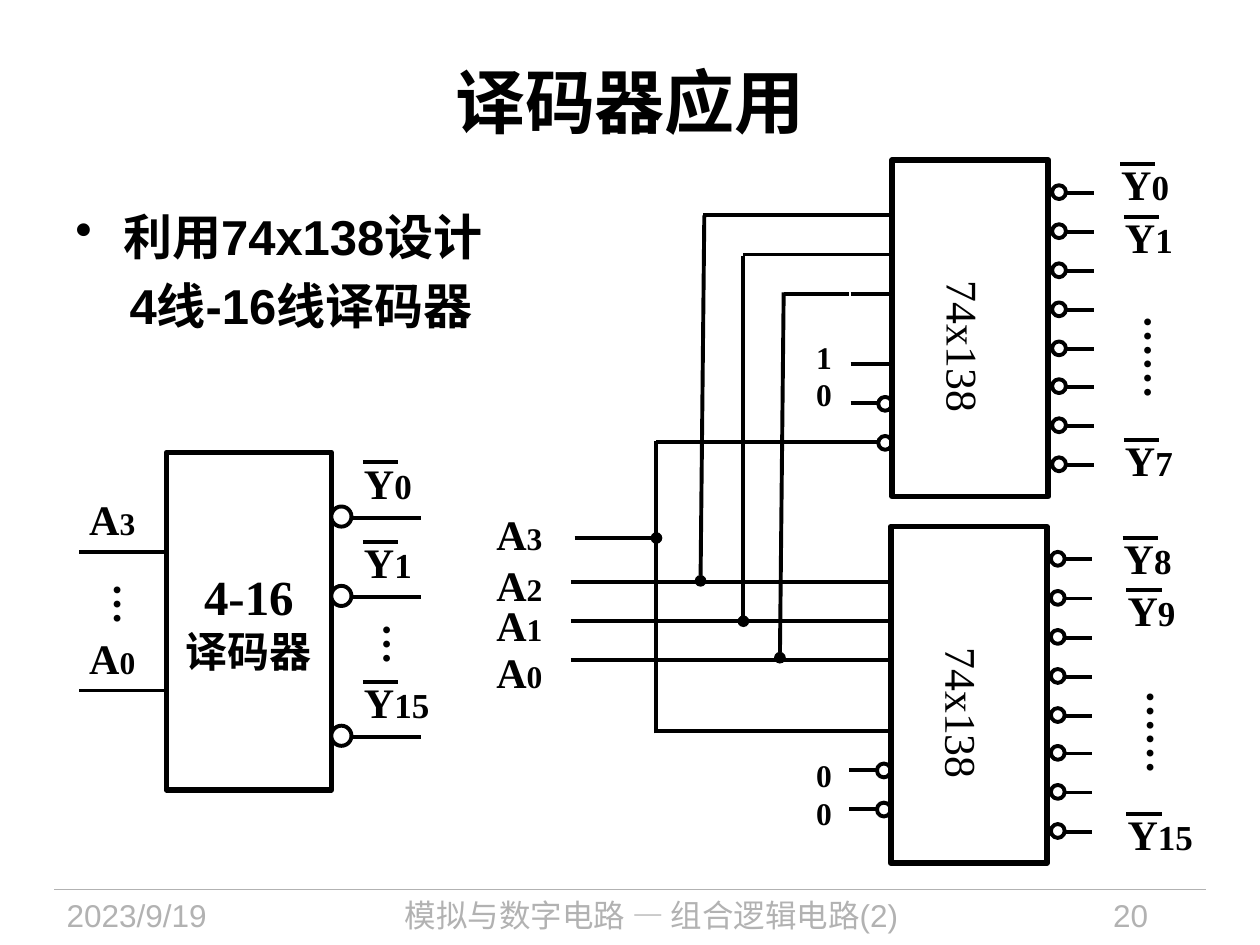
from typing import NamedTuple

from lxml import etree
from pptx import Presentation
from pptx.dml.color import RGBColor
from pptx.enum.shapes import MSO_CONNECTOR, MSO_SHAPE
from pptx.enum.text import MSO_ANCHOR, MSO_AUTO_SIZE, PP_ALIGN
from pptx.oxml.ns import qn
from pptx.util import Emu, Pt

PX = 9144  # EMU per px, 100 px to the inch
LEFT, CENTER, RIGHT = PP_ALIGN.LEFT, PP_ALIGN.CENTER, PP_ALIGN.RIGHT
RECTANGLE, OVAL = MSO_SHAPE.RECTANGLE, MSO_SHAPE.OVAL
STRAIGHT = MSO_CONNECTOR.STRAIGHT
MIDDLE, TOP = MSO_ANCHOR.MIDDLE, MSO_ANCHOR.TOP
FIT_SHAPE = MSO_AUTO_SIZE.SHAPE_TO_FIT_TEXT


class Theme:
    ink = RGBColor(0, 0, 0)
    paper = RGBColor(255, 255, 255)
    footer = RGBColor(0xB2, 0xB2, 0xB2)
    sans, serif = "Arial", "Times New Roman"
    title_size, body_size, block_size, chip_size = 40, 28, 24, 25
    letter_size, output_index, input_index, small_size = 24, 20, 18, 18
    wire, block_line, chip_line, rule = 2.25, 3, 3.25, 0.75


class Box(NamedTuple):
    left: int
    top: int
    width: int
    height: int


class Style(NamedTuple):
    font: str
    size: int
    bold: bool = True
    color: RGBColor = Theme.ink


class Label(NamedTuple):
    letter: str
    index: str
    left: int
    top: int


class Wire(NamedTuple):
    x1: int
    y1: int
    x2: int
    y2: int
    start_dot: bool = False
    end_dot: bool = False


LETTER = Style(Theme.serif, Theme.letter_size)
LEVEL = Style(Theme.serif, Theme.small_size)
FOOTER = Style(Theme.sans, Theme.small_size, False, Theme.footer)
CHIP_NAME = Style(Theme.serif, Theme.chip_size, False)


def emu(*lengths: int) -> list[Emu]:
    return [Emu(length * PX) for length in lengths]


def style_paragraph(paragraph, style: Style, align=LEFT) -> None:
    paragraph.alignment = align
    font = paragraph.font
    font.name, font.size, font.bold = style.font, Pt(style.size), style.bold
    font.color.rgb = style.color


def add_text(slide, box: Box, lines: list[str], style: Style, align=LEFT,
             wrap: bool = False, anchor=TOP, vertical: bool = False):
    frame = slide.shapes.add_textbox(*emu(*box)).text_frame
    frame.word_wrap = wrap
    frame.vertical_anchor = anchor
    if not wrap:
        frame.auto_size = FIT_SHAPE
    if vertical:
        frame._txBody.bodyPr.set("vert", "eaVert")
    frame.text = "\n".join(lines)
    for paragraph in frame.paragraphs:
        style_paragraph(paragraph, style, align)
    return frame


def add_wire(slide, wire: Wire, color=Theme.ink, width: float = Theme.wire) -> None:
    ends = emu(wire.x1, wire.y1, wire.x2, wire.y2)
    connector = slide.shapes.add_connector(STRAIGHT, *ends)
    connector.line.color.rgb = color
    connector.line.width = Pt(width)
    outline = connector.line._get_or_add_ln()
    for tag, dotted in (("a:headEnd", wire.start_dot), ("a:tailEnd", wire.end_dot)):
        if dotted:
            etree.SubElement(outline, qn(tag), type="oval")
    etree.SubElement(connector._element.spPr, qn("a:effectLst"))


def add_outline(slide, kind, box: Box, width: float, fill=None):
    shape = slide.shapes.add_shape(kind, *emu(*box))
    shape.shadow.inherit = False
    if fill is None:
        shape.fill.background()
    else:
        shape.fill.solid()
        shape.fill.fore_color.rgb = fill
    shape.line.color.rgb = Theme.ink
    shape.line.width = Pt(width)
    return shape


def add_label(slide, label: Label) -> None:
    """Letter with a smaller index; the active-low Y outputs carry a bar."""
    output = label.letter == "Y"
    width = 44 + 14 * len(label.index)
    box = Box(label.left, label.top, width, 50)
    paragraph = add_text(slide, box, [label.letter], LETTER).paragraphs[0]
    index = paragraph.add_run()
    index.text = label.index
    index.font.size = Pt(Theme.output_index if output else Theme.input_index)
    if output:
        bar_left, bar_top = label.left + 9, label.top + 9
        add_wire(slide, Wire(bar_left, bar_top, bar_left + 28, bar_top))


def add_chip(slide, left: int, top: int) -> None:
    add_outline(slide, RECTANGLE, Box(left, top, 124, 267), Theme.chip_line, Theme.paper)
    name = add_text(slide, Box(left + 48, top + 96, 30, 74), ["74x138"],
                    CHIP_NAME, vertical=True)
    name.margin_left = name.margin_top = name.margin_right = name.margin_bottom = 0
    # Eight inverted outputs
    for number in range(8):
        y = top + 20 + round(30.9 * number)
        add_outline(slide, OVAL, Box(left + 127, y, 11, 11), Theme.wire)
        add_wire(slide, Wire(left + 138, y + 6, left + 160, y + 6))
    # Three address inputs and one active-high enable
    for offset in (44, 75, 106, 162):
        add_wire(slide, Wire(left - 33, top + offset, left + 1, top + offset))
    # Two active-low enables
    for offset in (188, 219):
        y = top + offset
        add_outline(slide, OVAL, Box(left - 11, y, 11, 11), Theme.wire)
        add_wire(slide, Wire(left - 33, y + 5, left - 11, y + 5))


def add_heading_and_footer(slide) -> None:
    add_wire(slide, Wire(43, 706, 957, 706), Theme.footer, Theme.rule)
    for box, text, align in (
        (Box(43, 706, 188, 44), "2023/9/19", LEFT),
        (Box(249, 706, 536, 44), "模拟与数字电路 — 组合逻辑电路(2)", CENTER),
        (Box(788, 706, 133, 44), "20", RIGHT),
    ):
        add_text(slide, box, [text], FOOTER, align, wrap=True)
    add_text(slide, Box(50, 17, 900, 125), ["译码器应用"],
             Style(Theme.sans, Theme.title_size), CENTER, wrap=True, anchor=MIDDLE)
    body = add_text(slide, Box(50, 159, 900, 71), ["利用74x138设计", "4线-16线译码器"],
                    Style(Theme.sans, Theme.body_size), wrap=True)
    for paragraph, margin, indent in zip(body.paragraphs, (38, 43), (-38, 0)):
        properties = paragraph._p.get_or_add_pPr()
        properties.set("marL", str(margin * PX))
        properties.set("indent", str(indent * PX))
        paragraph.space_after = Pt(6)
    bullet = etree.Element(qn("a:buChar"), char="•")
    body.paragraphs[0]._p.pPr.find(qn("a:defRPr")).addprevious(bullet)


def add_decoder_block(slide) -> None:
    block = add_outline(slide, RECTANGLE, Box(132, 359, 131, 268), Theme.block_line)
    frame = block.text_frame
    frame.word_wrap = False
    frame.vertical_anchor = MIDDLE
    frame.text = "4-16\n译码器"
    style_paragraph(frame.paragraphs[0], Style(Theme.serif, Theme.body_size), CENTER)
    style_paragraph(frame.paragraphs[1], Style(Theme.sans, Theme.block_size), CENTER)
    for index, y in (("3", 438), ("0", 548)):
        add_wire(slide, Wire(63, y, 130, y))
        add_label(slide, Label("A", index, 61, y - 51))
    for index, y in (("0", 411), ("1", 474), ("15", 585)):
        add_wire(slide, Wire(263, y, 334, y))
        add_outline(slide, OVAL, Box(263, y - 9, 16, 16), Theme.wire, Theme.paper)
        add_label(slide, Label("Y", index, 279, y - 53))
    for left, top in ((69, 453), (283, 485)):
        add_text(slide, Box(left, top, 60, 43), ["…"], LETTER, vertical=True)


def add_two_chip_circuit(slide) -> None:
    # Input buses, then branches to the upper chip, then the A3 enable branch
    for wire in (
        Wire(453, 524, 676, 524), Wire(453, 493, 676, 493), Wire(453, 462, 676, 462),
        Wire(456, 427, 521, 427, end_dot=True),
        Wire(622, 233, 674, 233), Wire(590, 202, 676, 202), Wire(558, 171, 676, 171),
        Wire(619, 522, 622, 232, start_dot=True),
        Wire(590, 493, 590, 203, start_dot=True),
        Wire(556, 461, 559, 171, start_dot=True),
        Wire(521, 582, 521, 350), Wire(521, 351, 675, 351), Wire(521, 580, 674, 580),
    ):
        add_wire(slide, wire)
    for label in (
        Label("A", "3", 384, 399), Label("A", "2", 384, 439),
        Label("A", "1", 384, 471), Label("A", "0", 384, 508),
        Label("Y", "0", 880, 121), Label("Y", "1", 883, 163), Label("Y", "7", 883, 340),
        Label("Y", "8", 882, 418), Label("Y", "9", 885, 459), Label("Y", "15", 885, 637),
    ):
        add_label(slide, label)
    for left, top in ((886, 241), (888, 538)):
        add_text(slide, Box(left, top, 61, 77), ["……"], LETTER, vertical=True)
    # Fixed enable levels
    for top, levels in ((263, ["1", "0"]), (595, ["0", "0"])):
        add_text(slide, Box(638, top, 33, 71), levels, LEVEL)
    add_chip(slide, 708, 127)
    add_chip(slide, 707, 418)


def main() -> None:
    presentation = Presentation()
    presentation.slide_width, presentation.slide_height = emu(1000, 750)
    slide = presentation.slides.add_slide(presentation.slide_layouts[6])
    add_heading_and_footer(slide)
    add_decoder_block(slide)
    add_two_chip_circuit(slide)
    presentation.save("out.pptx")


if __name__ == "__main__":
    main()
